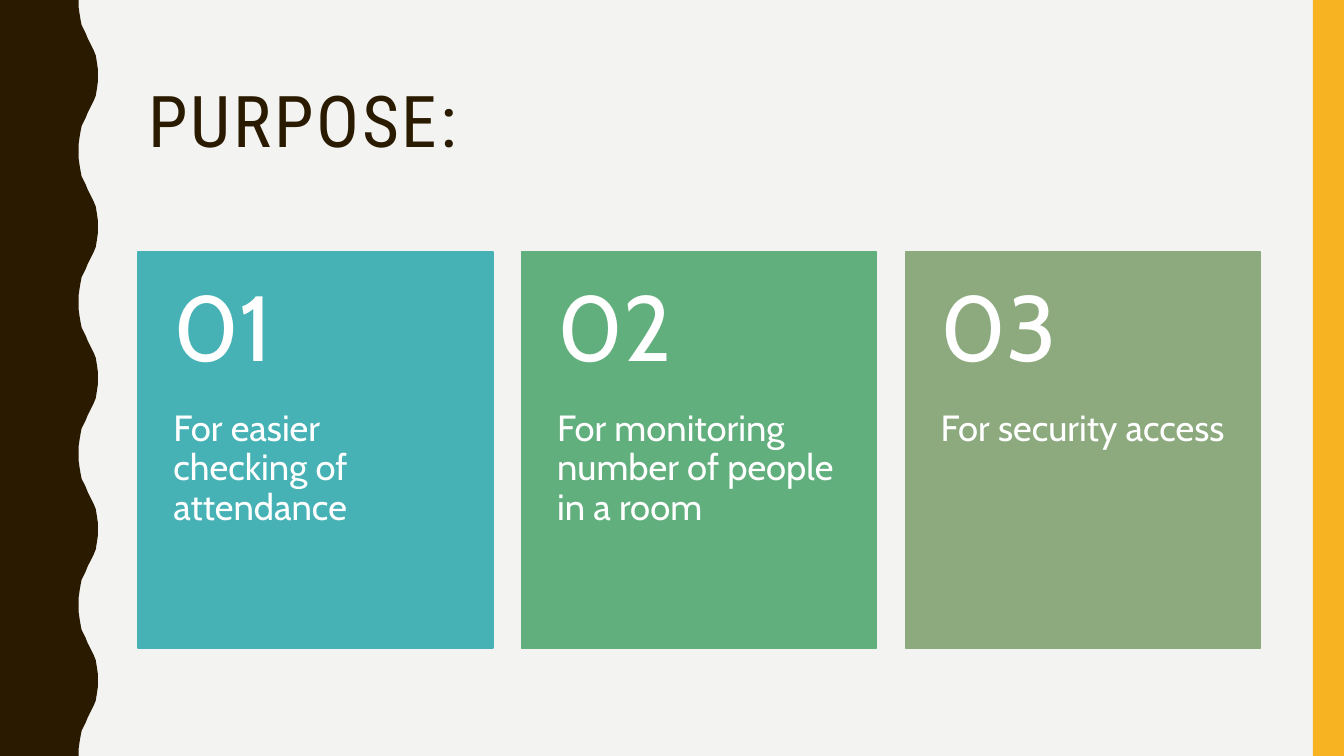
from dataclasses import dataclass

from pptx import Presentation
from pptx.dml.color import RGBColor
from pptx.enum.shapes import MSO_SHAPE
from pptx.enum.text import MSO_ANCHOR, MSO_AUTO_SIZE, PP_ALIGN
from pptx.util import Inches, Pt

RECTANGLE = MSO_SHAPE.RECTANGLE
TOP = MSO_ANCHOR.TOP
MIDDLE = MSO_ANCHOR.MIDDLE
LEFT = PP_ALIGN.LEFT
NO_AUTOFIT = MSO_AUTO_SIZE.NONE

SLIDE_WIDTH, SLIDE_HEIGHT = 13.33, 7.5
CONTENT_LEFT, CONTENT_WIDTH = 1.37, 11.13
CARD_TOP, CARD_WIDTH, CARD_HEIGHT = 2.5, 3.52, 3.93
NUMBER_HEIGHT = 1.57
BAR_WIDTH = 0.31

WAVE_PERIOD = 1.5
WAVE_RISE = [
    (0.78, 0), (0.78, 0.07), (0.79, 0.14), (0.8, 0.2), (0.81, 0.25),
    (0.83, 0.29), (0.85, 0.33), (0.87, 0.38), (0.89, 0.42), (0.91, 0.46),
    (0.93, 0.5), (0.95, 0.55), (0.96, 0.61), (0.97, 0.68), (0.97, 0.75),
]

PURPOSES = [
    ("For easier checking of attendance", "46B2B5"),
    ("For monitoring number of people in a room", "62AF7E"),
    ("For security access", "8CAA7E"),
]


@dataclass(frozen=True)
class Theme:
    background: str = "F3F3F2"
    dark: str = "2A1A00"
    accent: str = "F8B323"
    light: str = "FFFFFF"
    title_font: str = "Roboto Condensed"
    body_font: str = "Cabin"
    title_size: int = 51
    number_size: int = 66
    body_size: int = 26
    title_spacing: int = 2
    line_spacing: float = 0.9


def color(value):
    return RGBColor.from_string(value)


class SlideBuilder:
    def __init__(self, slide, theme):
        self.slide = slide
        self.theme = theme
        background = slide.background.fill
        background.solid()
        background.fore_color.rgb = color(theme.background)

    def paint(self, shape, fill, outlined=False):
        shape.shadow.inherit = False
        shape.fill.solid()
        shape.fill.fore_color.rgb = color(fill)
        if outlined:
            shape.line.color.rgb = color(fill)
            shape.line.width = Pt(1)
        else:
            shape.line.fill.background()

    def style(self, paragraph, font_name, size, font_color):
        paragraph.alignment = LEFT
        paragraph.line_spacing = self.theme.line_spacing
        paragraph.font.name = font_name
        paragraph.font.size = Pt(size)
        paragraph.font.color.rgb = color(font_color)

    def wave(self):
        crest = WAVE_RISE + [(x, WAVE_PERIOD - y) for x, y in WAVE_RISE[-2::-1]]
        edge = [
            (x, y + period * WAVE_PERIOD)
            for period in range(round(SLIDE_HEIGHT / WAVE_PERIOD))
            for x, y in crest
        ]
        outline = edge + [(0, SLIDE_HEIGHT)]
        builder = self.slide.shapes.build_freeform(0, 0, scale=Inches(1) / 100)
        builder.add_line_segments([(x * 100, y * 100) for x, y in outline], close=True)
        self.paint(builder.convert_to_shape(), self.theme.dark)

    def rectangle(self, shapes, left, top, width, height, fill, outlined=False):
        shape = shapes.add_shape(
            RECTANGLE, Inches(left), Inches(top), Inches(width), Inches(height)
        )
        self.paint(shape, fill, outlined)

    def title(self, text):
        title = self.slide.shapes.title
        title.left, title.top = Inches(CONTENT_LEFT), Inches(0.42)
        title.width, title.height = Inches(CONTENT_WIDTH), Inches(1.63)
        frame = title.text_frame
        frame.text = text
        frame.auto_size = NO_AUTOFIT
        frame.vertical_anchor = MIDDLE
        paragraph = frame.paragraphs[0]
        theme = self.theme
        self.style(paragraph, theme.title_font, theme.title_size, theme.dark)
        properties = paragraph.runs[0]._r.get_or_add_rPr()
        properties.set("spc", str(theme.title_spacing * 100))

    def text(self, shapes, text, left, top, height, size, anchor, insets):
        box = shapes.add_textbox(
            Inches(left), Inches(top), Inches(CARD_WIDTH), Inches(height)
        )
        frame = box.text_frame
        frame.word_wrap = True
        frame.vertical_anchor = anchor
        frame.margin_left = frame.margin_right = Inches(0.35)
        frame.margin_top, frame.margin_bottom = map(Inches, insets)
        frame.text = text
        self.style(frame.paragraphs[0], self.theme.body_font, size, self.theme.light)

    def card(self, number, text, left, fill):
        shapes = self.slide.shapes.add_group_shape().shapes
        self.rectangle(shapes, left, CARD_TOP, CARD_WIDTH, CARD_HEIGHT, fill, True)
        self.text(
            shapes, text, left, CARD_TOP + NUMBER_HEIGHT, CARD_HEIGHT - NUMBER_HEIGHT,
            self.theme.body_size, TOP, (0, 0.36),
        )
        self.text(
            shapes, f"{number:02}", left, CARD_TOP, NUMBER_HEIGHT,
            self.theme.number_size, MIDDLE, (0.18, 0.18),
        )


def main():
    presentation = Presentation()
    presentation.slide_width = Inches(SLIDE_WIDTH)
    presentation.slide_height = Inches(SLIDE_HEIGHT)
    theme = Theme()
    title_only = presentation.slide_layouts[5]
    builder = SlideBuilder(presentation.slides.add_slide(title_only), theme)

    builder.wave()
    builder.rectangle(
        builder.slide.shapes, SLIDE_WIDTH - BAR_WIDTH, 0, BAR_WIDTH, SLIDE_HEIGHT,
        theme.accent,
    )
    builder.title("PURPOSE:")
    pitch = (CONTENT_WIDTH - CARD_WIDTH) / (len(PURPOSES) - 1)
    for index, (text, fill) in enumerate(PURPOSES):
        builder.card(index + 1, text, CONTENT_LEFT + index * pitch, fill)

    presentation.save("out.pptx")


if __name__ == "__main__":
    main()
